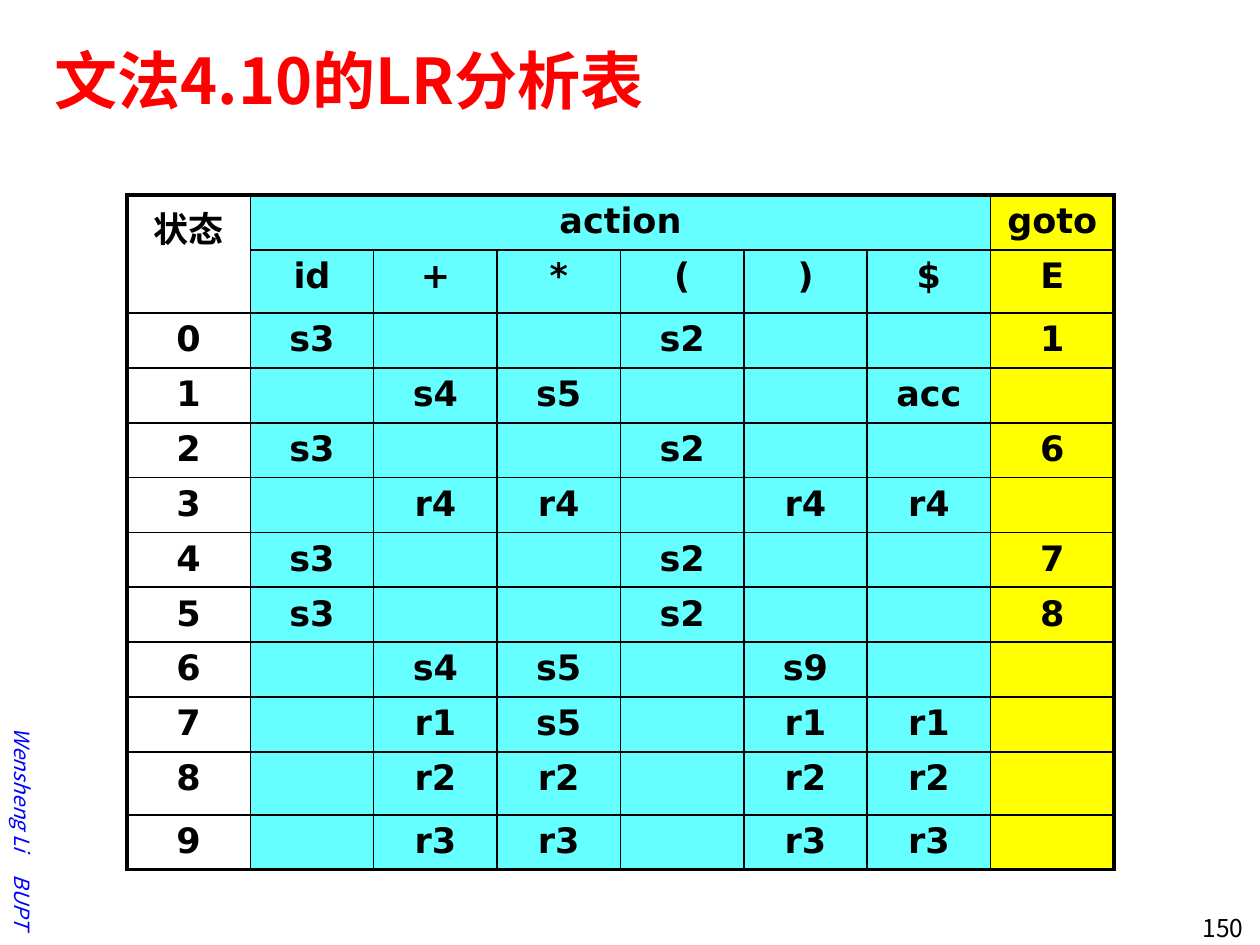
import lxml.etree
import pptx
import pptx.dml.color
import pptx.enum.text
import pptx.oxml.ns
import pptx.util

SCALE = 914400 / 126
COLORS = {"black": "000000", "red": "FF0000", "blue": "0000FF",
          "action": "66FFFF", "goto": "FFFF00"}
ALIGN = pptx.enum.text.PP_ALIGN
ANCHOR = pptx.enum.text.MSO_ANCHOR
SANS = "DejaVu Sans"
NOTO = "Noto Sans CJK SC"

ROWS = [
    ["状态", "action", "", "", "", "", "", "goto"],
    ["", "id", "+", "*", "(", ")", "$", "E"],
    ["0", "s3", "", "", "s2", "", "", "1"],
    ["1", "", "s4", "s5", "", "", "acc", ""],
    ["2", "s3", "", "", "s2", "", "", "6"],
    ["3", "", "r4", "r4", "", "r4", "r4", ""],
    ["4", "s3", "", "", "s2", "", "", "7"],
    ["5", "s3", "", "", "s2", "", "", "8"],
    ["6", "", "s4", "s5", "", "s9", "", ""],
    ["7", "", "r1", "s5", "", "r1", "r1", ""],
    ["8", "", "r2", "r2", "", "r2", "r2", ""],
    ["9", "", "r3", "r3", "", "r3", "r3", ""],
]
ROW_HEIGHTS = [55, 63, 55, 55, 54, 55, 54, 55, 54, 55, 63, 54]
COLUMN_FILLS = [None] + ["action"] * 6 + ["goto"]


def px(length):
    return pptx.util.Emu(round(length * SCALE))


def rgb(name):
    return pptx.dml.color.RGBColor.from_string(COLORS[name])


def child(parent, tag, **attributes):
    return lxml.etree.SubElement(parent, pptx.oxml.ns.qn(tag), attributes)


class SlideBuilder:
    def __init__(self, deck):
        self.page = deck.slides.add_slide(deck.slide_layouts[6])
        self.cell_style = {"size": pptx.util.Pt(20), "name": SANS, "bold": True}
        self.thin, self.thick = pptx.util.Pt(1), pptx.util.Pt(2.25)

    def add_span(self, para, text, color, style, tracking=0):
        span = para.add_run()
        span.text = text
        for key, value in style.items():
            setattr(span.font, key, value)
        span.font.color.rgb = rgb(color)
        properties = span._r.get_or_add_rPr()
        child(properties, "a:ea", typeface=NOTO)
        if tracking:
            properties.set("spc", str(tracking))

    def text(self, area, pieces, color, style, align, anchor, rotation=0):
        box = self.page.shapes.add_textbox(*map(px, area))
        box.rotation = rotation
        frame = box.text_frame
        frame.word_wrap = True
        frame.vertical_anchor = anchor
        para = frame.paragraphs[0]
        para.alignment = align
        for text, tracking in pieces:
            self.add_span(para, text, color, style, tracking)

    def borders(self, cell, outer):
        properties = cell._tc.get_or_add_tcPr()
        for side in ("L", "R", "T", "B"):
            width = self.thick if outer[side] else self.thin
            line = child(properties, "a:ln" + side, w=str(int(width)))
            fill = child(line, "a:solidFill")
            child(fill, "a:srgbClr", val=COLORS["black"])

    def table(self, left, top, width, rows, heights, fills, merges):
        count = len(fills)
        shape = self.page.shapes.add_table(
            len(rows), count, px(left), px(top), px(width), px(sum(heights)))
        grid = shape.table
        grid.first_row = grid.horz_banding = False
        for column in grid.columns:
            column.width = px(width / count)
        for row, height in zip(grid.rows, heights):
            row.height = px(height)
        for r, texts in enumerate(rows):
            for c, text in enumerate(texts):
                cell = grid.cell(r, c)
                self.borders(cell, {"L": c == 0, "R": c == count - 1,
                                    "T": r == 0, "B": r == len(rows) - 1})
                if fills[c]:
                    cell.fill.solid()
                    cell.fill.fore_color.rgb = rgb(fills[c])
                else:
                    cell.fill.background()
                para = cell.text_frame.paragraphs[0]
                para.alignment = ALIGN.CENTER
                if text:
                    self.add_span(para, text, "black", self.cell_style)
        for first, last in merges:
            grid.cell(*first).merge(grid.cell(*last))


def main():
    deck = pptx.Presentation()
    deck.slide_width, deck.slide_height = px(1260), px(945)
    builder = SlideBuilder(deck)
    builder.text((-144, 756, 333, 38),
                 [("Wensheng Li", 0), (" ", 1070), ("BUPT", 0)], "blue",
                 {"size": pptx.util.Pt(12), "name": NOTO, "italic": True},
                 ALIGN.RIGHT, ANCHOR.MIDDLE, 90)
    builder.text((1133, 907, 123, 38), [("150", 0)], "black",
                 {"size": pptx.util.Pt(14), "name": NOTO},
                 ALIGN.RIGHT, ANCHOR.TOP)
    builder.text((42, 21, 1187, 116), [("文法4.10的LR分析表", 0)], "red",
                 {"size": pptx.util.Pt(36), "name": NOTO, "bold": True},
                 ALIGN.LEFT, ANCHOR.MIDDLE)
    builder.table(127, 195, 987, ROWS, ROW_HEIGHTS, COLUMN_FILLS,
                  [((0, 0), (1, 0)), ((0, 1), (0, 6))])
    deck.save("out.pptx")


if __name__ == "__main__":
    main()
